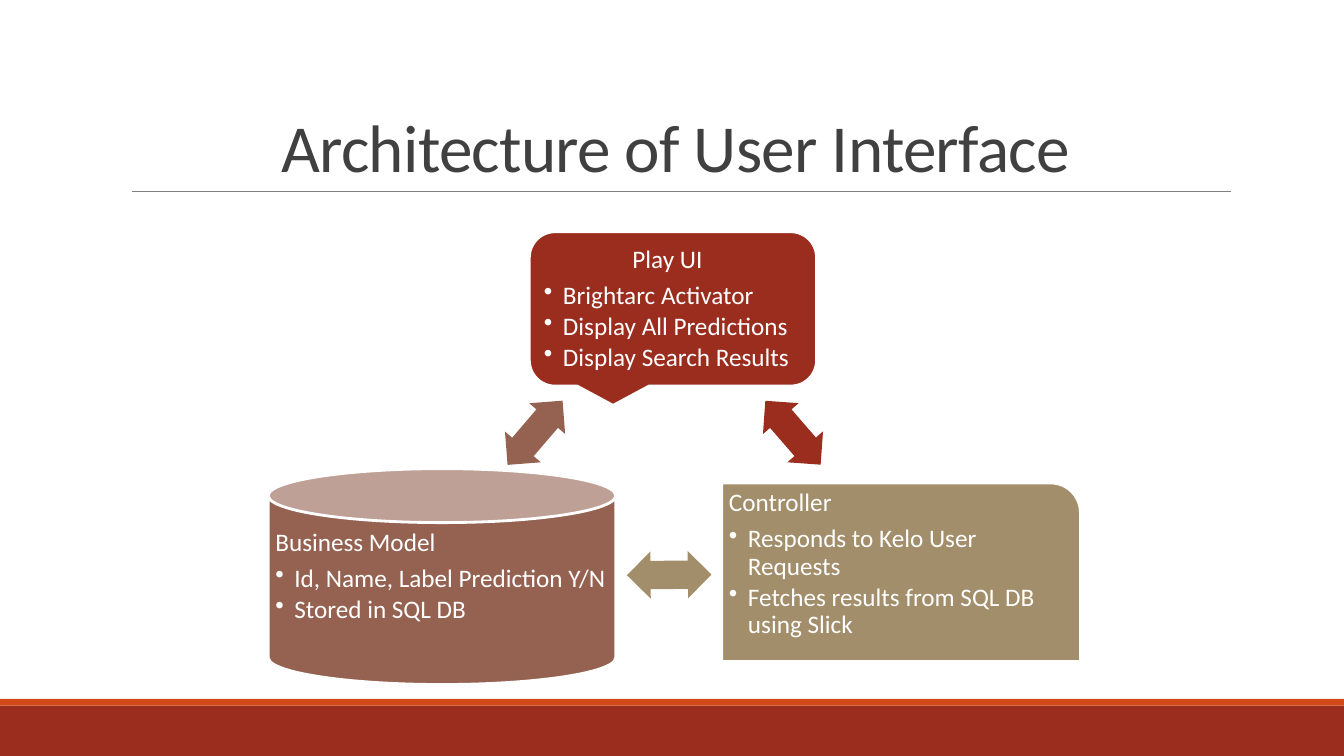
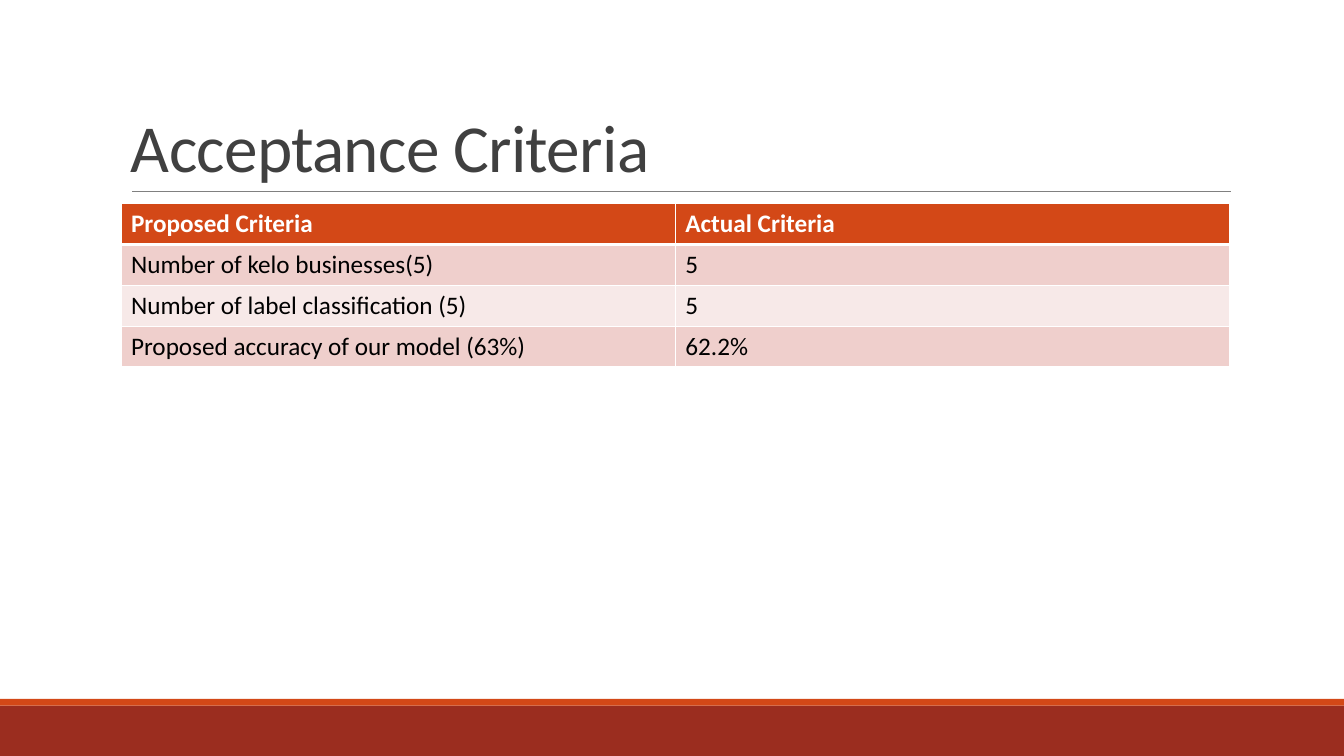
from pptx import Presentation
from pptx.dml.color import RGBColor
from pptx.enum.shapes import MSO_CONNECTOR, MSO_SHAPE
from pptx.enum.text import MSO_ANCHOR, PP_ALIGN
from pptx.oxml.ns import qn
from pptx.util import Cm, Pt
from lxml.etree import SubElement

FONT = "Calibri"
COLORS = {
    "brick": "9B2D1F",
    "orange": "D34817",
    "clay": "956251",
    "sand": "A28E6A",
    "white": "FFFFFF",
    "black": "000000",
    "title": "404040",
    "rule": "808080",
    "row_dark": "EFCFCC",
    "row_light": "F7E9E8",
}
SLIDE_WIDTH, SLIDE_HEIGHT = 33.87, 19.05
BODY_SIZE = 18
BULLET_INDENT = 0.48


def rgb(name):
    return RGBColor.from_string(COLORS[name])


def style(paragraph, color, size=BODY_SIZE, bold=False):
    font = paragraph.font
    font.name, font.size, font.bold = FONT, Pt(size), bold
    font.color.rgb = rgb(color)


def add_block(slide, preset, box, fill, outline=0):
    """Add a filled preset shape; box is left, top, width, height in cm."""
    block = slide.shapes.add_shape(preset, *map(Cm, box))
    block.shadow.inherit = False
    block.fill.solid()
    block.fill.fore_color.rgb = rgb(fill)
    if outline:
        block.line.color.rgb = rgb("white")
        block.line.width = Pt(outline)
    else:
        block.line.fill.background()
    return block


def add_footer_bands(slide):
    band, stripe = 1.27, 0.17
    top = SLIDE_HEIGHT - band
    add_block(slide, MSO_SHAPE.RECTANGLE, (0, top, SLIDE_WIDTH, band), "brick")
    add_block(slide, MSO_SHAPE.RECTANGLE,
              (0, top - stripe, SLIDE_WIDTH, stripe), "orange")


def add_title(slide, box, text, align):
    """Write the title at the bottom of the box, with a rule beneath it."""
    left, top, width, height = box
    bottom = Cm(top + height)
    rule = slide.shapes.add_connector(
        MSO_CONNECTOR.STRAIGHT, Cm(left + 0.28), bottom,
        Cm(left + width + 0.02), bottom)
    rule.line.color.rgb = rgb("rule")
    rule.line.width = Pt(0.5)
    SubElement(rule._element.spPr, qn("a:effectLst"))

    frame = slide.shapes.add_textbox(*map(Cm, box)).text_frame
    frame.word_wrap = True
    frame.vertical_anchor = MSO_ANCHOR.BOTTOM
    heading = frame.paragraphs[0]
    heading.alignment, heading.line_spacing = align, 0.85
    style(heading, "title", 48)
    run = heading.add_run()
    run.text = text
    run._r.get_or_add_rPr().set("spc", "-50")


def add_slide(prs, title, align=PP_ALIGN.LEFT):
    slide = prs.slides.add_slide(prs.slide_layouts[6])
    add_footer_bands(slide)
    add_title(slide, (3.05, 0.79, 27.94, 4.04), title, align)
    return slide


def write_component(shape, heading, bullets, heading_indent):
    frame = shape.text_frame
    frame.word_wrap = True
    frame.vertical_anchor = MSO_ANCHOR.TOP
    frame.margin_left = frame.margin_right = Cm(0.18)
    frame.margin_top = frame.margin_bottom = Cm(0.18)
    for index, text in enumerate([heading, *bullets]):
        line = frame.add_paragraph() if index else frame.paragraphs[0]
        line.text = text
        line.alignment, line.line_spacing = PP_ALIGN.LEFT, 0.9
        line.space_after = Pt(2.7 if index else 6.3)
        style(line, "white")
        properties = line._p.get_or_add_pPr()
        if index:
            properties.set("marL", str(Cm(BULLET_INDENT)))
            properties.set("indent", str(-Cm(BULLET_INDENT)))
            SubElement(properties, qn("a:buChar")).set("char", "•")
            # The bullet must precede the default run properties.
            properties.append(properties.find(qn("a:defRPr")))
        else:
            properties.set("marL", str(Cm(heading_indent)))


def add_architecture(slide, left, top):
    """Draw the three components and the arrows between them."""
    components = [
        (MSO_SHAPE.ROUNDED_RECTANGULAR_CALLOUT, (6.58, 0, 7.24, 3.89), "brick",
         "Play UI", ["Brightarc Activator", "Display All Predictions",
                     "Display Search Results"], 2.23),
        (MSO_SHAPE.ROUND_1_RECTANGLE, (11.43, 6.33, 9.04, 4.5), "sand",
         "Controller", ["Responds to Kelo User Requests",
                        "Fetches results from SQL DB using Slick"], 0),
        (MSO_SHAPE.CAN, (0, 5.97, 8.76, 5.44), "clay",
         "Business Model", ["Id, Name, Label Prediction Y/N",
                            "Stored in SQL DB"], 0),
    ]
    for preset, (x, y, width, height), color, heading, bullets, indent in components:
        component = add_block(slide, preset, (left + x, top + y, width, height),
                              color, outline=2)
        write_component(component, heading, bullets, indent)

    arrows = [(12.16, 4.47, 49.1, "brick"), (9.04, 8.05, 179.5, "sand"),
              (5.66, 4.47, 310.6, "clay")]
    for x, y, angle, color in arrows:
        arrow = add_block(slide, MSO_SHAPE.LEFT_RIGHT_ARROW,
                          (left + x, top + y, 2.13, 1.19), color)
        arrow.adjustments[0], arrow.adjustments[1] = 0.6, 0.5
        arrow.rotation = angle


def add_cell_borders(cell, bottom_width):
    properties = cell._tc.get_or_add_tcPr()
    for side, width in (("L", 1), ("R", 1), ("T", 1), ("B", bottom_width)):
        border = SubElement(properties, qn(f"a:ln{side}"))
        border.set("w", str(Pt(width)))
        fill = SubElement(border, qn("a:solidFill"))
        SubElement(fill, qn("a:srgbClr")).set("val", COLORS["white"])


def add_criteria_table(slide, left, top, width, rows):
    row_height = 1.03
    table = slide.shapes.add_table(
        len(rows), len(rows[0]), Cm(left), Cm(top), Cm(width),
        Cm(row_height * len(rows))).table
    for row, texts in enumerate(rows):
        is_header = row == 0
        fill = "orange" if is_header else ("row_light", "row_dark")[row % 2]
        for column, text in enumerate(texts):
            cell = table.cell(row, column)
            cell.text = text
            style(cell.text_frame.paragraphs[0],
                  "white" if is_header else "black", bold=is_header)
            # A border shared by two rows has one width on both sides.
            add_cell_borders(cell, 3 if is_header else 1)
            if row == 1:
                cell._tc.tcPr.find(qn("a:lnT")).set("w", str(Pt(3)))
            cell.fill.solid()
            cell.fill.fore_color.rgb = rgb(fill)


def main():
    prs = Presentation()
    prs.slide_width, prs.slide_height = Cm(SLIDE_WIDTH), Cm(SLIDE_HEIGHT)

    architecture = add_slide(prs, "Architecture of User Interface", PP_ALIGN.CENTER)
    add_architecture(architecture, 6.76, 5.84)

    criteria = add_slide(prs, "Acceptance Criteria")
    add_criteria_table(criteria, 3.05, 5.13, 27.94, [
        ("Proposed Criteria", "Actual Criteria"),
        ("Number of kelo businesses(5)", "5"),
        ("Number of label classification (5)", "5"),
        ("Proposed accuracy of our model (63%)", "62.2%"),
    ])
    prs.save("out.pptx")


if __name__ == "__main__":
    main()
